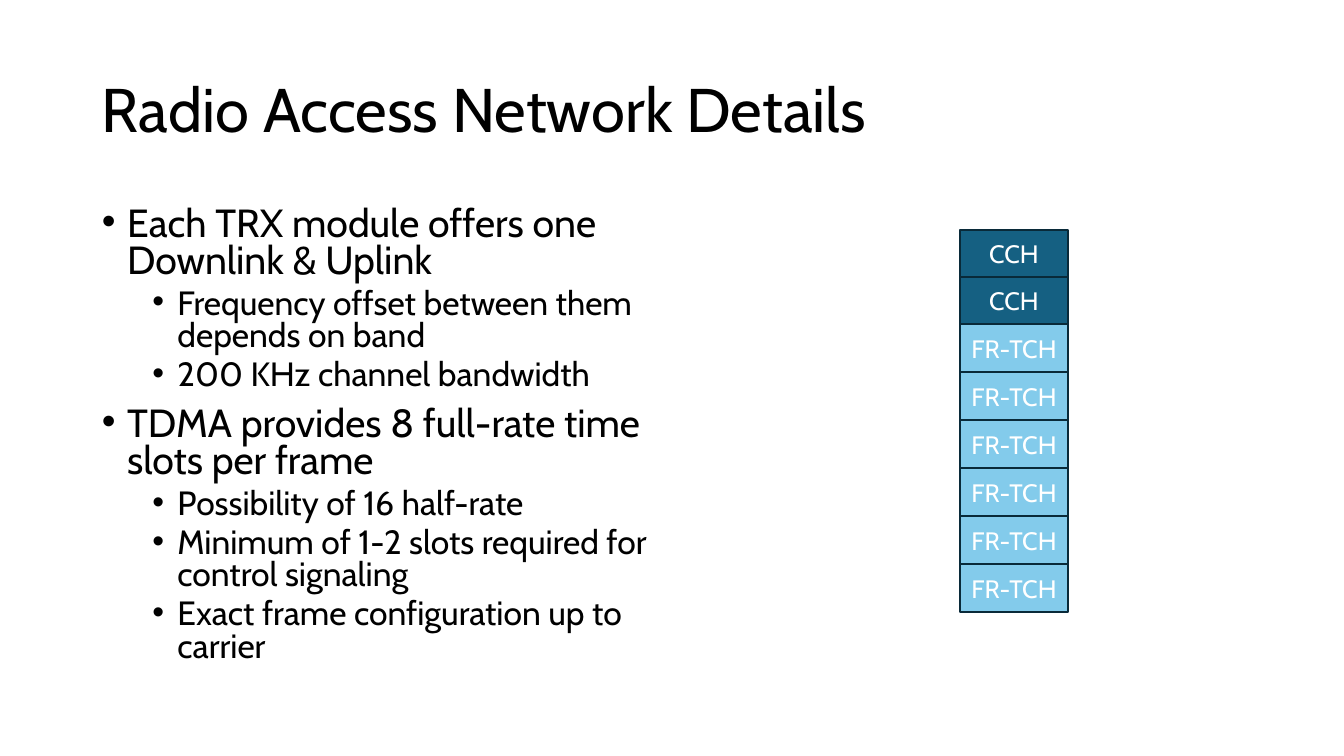
from dataclasses import dataclass

from lxml.etree import SubElement
from pptx import Presentation
from pptx.dml.color import RGBColor
from pptx.enum.shapes import MSO_SHAPE as Shape
from pptx.enum.text import MSO_ANCHOR as Anchor, PP_ALIGN as Align
from pptx.oxml.ns import qn
from pptx.util import Emu, Pt

PX_PER_INCH = 100.8


def px(length):
    return Emu(round(length * 914400 / PX_PER_INCH))


@dataclass(frozen=True)
class Theme:
    font: str = "Cabin"
    ink: str = "000000"
    slot_ink: str = "FFFFFF"
    slot_line: str = "092A39"
    control: str = "156082"
    traffic: str = "83CBEB"
    title_size: int = 44
    bullet_sizes: tuple = (28, 24)
    slot_size: int = 18


class SlideBuilder:
    def __init__(self, slide, theme):
        self.slide = slide
        self.theme = theme

    def style(self, para, size, color):
        for span in para.runs:
            span.font.name = self.theme.font
            span.font.size = Pt(size)
            span.font.color.rgb = RGBColor.from_string(color)

    def text_box(self, left, top, width, height, anchor):
        box = self.slide.shapes.add_textbox(px(left), px(top), px(width), px(height))
        box.text_frame.word_wrap = True
        box.text_frame.vertical_anchor = anchor
        return box.text_frame

    def title(self, text, *area):
        frame = self.text_box(*area, Anchor.MIDDLE)
        frame.text = text
        para = frame.paragraphs[0]
        para.line_spacing = 0.9
        self.style(para, self.theme.title_size, self.theme.ink)

    def bullets(self, items, *area):
        """Write (level, text) pairs as a bulleted list."""
        frame = self.text_box(*area, Anchor.TOP)
        frame.text = "\n".join(text for _, text in items)
        for para, (level, _) in zip(frame.paragraphs, items):
            para.level = level
            para.line_spacing = 0.8
            para.space_before = Pt((10, 5)[level])
            self.style(para, self.theme.bullet_sizes[level], self.theme.ink)
            props = para._p.get_or_add_pPr()
            props.set("marL", str(Pt((18, 54)[level])))
            props.set("indent", str(-Pt(18)))
            SubElement(props, qn("a:buFont"), typeface="Arial")
            SubElement(props, qn("a:buChar"), char="•")

    def slot(self, group, text, fill, left, top, width, height):
        box = group.shapes.add_shape(
            Shape.RECTANGLE, px(left), px(top), px(width), px(height))
        box.shadow.inherit = False
        box.fill.solid()
        box.fill.fore_color.rgb = RGBColor.from_string(fill)
        box.line.color.rgb = RGBColor.from_string(self.theme.slot_line)
        box.line.width = Pt(1.5)
        frame = box.text_frame
        frame.margin_left = frame.margin_right = 0
        frame.vertical_anchor = Anchor.MIDDLE
        frame.text = text
        para = frame.paragraphs[0]
        para.alignment = Align.CENTER
        self.style(para, self.theme.slot_size, self.theme.slot_ink)

    def frame_stack(self, kinds, left, top, width):
        """Stack time slots given as (text, fill, height, count)."""
        group = self.slide.shapes.add_group_shape()
        for text, fill, height, count in kinds:
            for _ in range(count):
                self.slot(group, text, fill, left, top, width, height)
                top += height


def main():
    deck = Presentation()
    deck.slide_width, deck.slide_height = px(1344), px(756)
    theme = Theme()
    page = SlideBuilder(deck.slides.add_slide(deck.slide_layouts[6]), theme)

    page.title("Radio Access Network Details", 92, 40, 1159, 146)
    page.bullets([
        (0, "Each TRX module offers one Downlink & Uplink"),
        (1, "Frequency offset between them depends on band"),
        (1, "200 KHz channel bandwidth"),
        (0, "TDMA provides 8 full-rate time slots per frame"),
        (1, "Possibility of 16 half-rate"),
        (1, "Minimum of 1-2 slots required for control signaling"),
        (1, "Exact frame configuration up to carrier"),
    ], 92, 202, 571, 480)
    page.frame_stack([
        ("CCH", theme.control, 47, 2),
        ("FR-TCH", theme.traffic, 48, 6),
    ], 960, 230, 108)

    deck.save("out.pptx")


if __name__ == "__main__":
    main()
